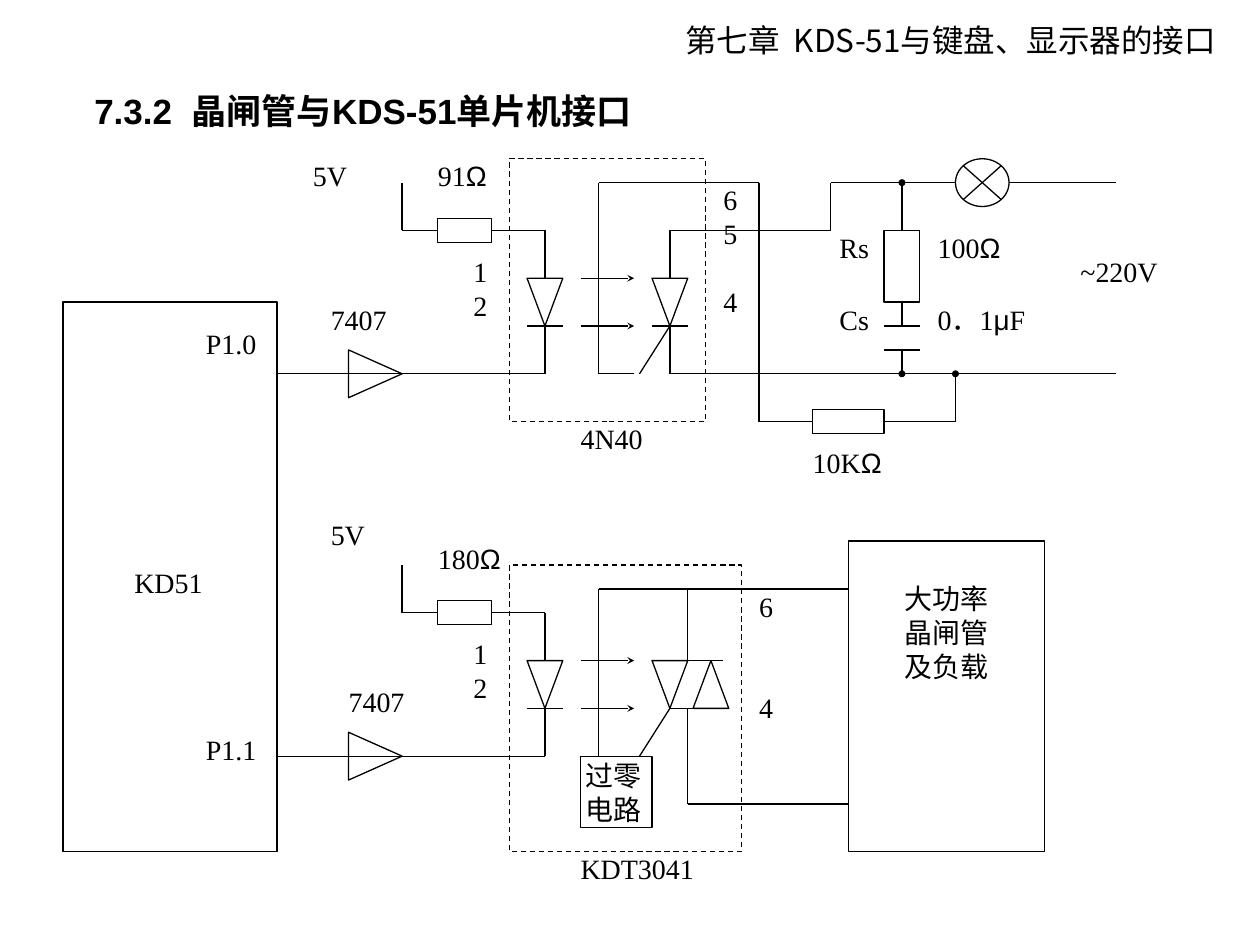
"""Builds the slide on connecting thyristors to a microcontroller."""
from itertools import groupby

from lxml import etree
from pptx import Presentation
from pptx import util as u
from pptx.dml.color import RGBColor
from pptx.enum import dml, shapes, text
from pptx.oxml.ns import qn

BLACK, WHITE = "000000", "FFFFFF"
LEFT, TOP, COLUMN, ROW = 0.5, 1.26, 1.7 / 12, 5.5 / 29
SIZE, LINE_HEIGHT = 16, 19.3
UPPER, LOWER = 0, 16
KIND = shapes.MSO_SHAPE

HEADINGS = [
    ("第七章  KDS-51与键盘、显示器的接口", (5.34, 0.12, 4.61, 0.4), 0.05, 18, "Noto Sans CJK JP", False),
    ("7.3.2  晶闸管与KDS-51单片机接口", (0.65, 0.52, 4.7, 0.72), 0.19, 20, "Arial", True),
]

# Grid positions are (column, row); both channels share the drive stage.
DRIVE_WIRES = [
    [(19, 1), (19, 3), (21, 3)],
    [(24, 3), (27, 3), (27, 9)],
    [(26, 7), (28, 7)],
    [(34, 7), (32.3, 9)],
    [(12, 9), (27, 9)],
]
LIGHT_ARROWS = [[(29, 5), (32, 5)], [(29, 7), (32, 7)]]
DRIVE_SHAPES = [
    (KIND.RECTANGLE, 21, 2.5, 3, 1, 0),
    (KIND.ISOSCELES_TRIANGLE, 26, 5, 2, 2, 180),
    (KIND.ISOSCELES_TRIANGLE, 33, 5, 2, 2, 180),
]
BUFFER = (KIND.ISOSCELES_TRIANGLE, 16, 8, 3, 2, 90)

WIRES = [
    [(34, 3), (34, 9)],
    [(33, 7), (35, 7)],
    [(32, 9), (30, 9), (30, 1), (39, 1), (39, 11), (42, 11)],
    [(34, 3), (43, 3), (43, 1), (59, 1)],
    [(34, 9), (59, 9)],
    [(46, 11), (50, 11)],
    [(47, 6), (47, 7)],
    [(46, 7), (48, 7)],
    [(46, 8), (48, 8)],
    [(30, 25), (30, 18), (44, 18)],
    [(35, 18), (35, 21), (37, 21)],
    [(34, 23), (36, 23)],
    [(35.3, 23), (37.3, 23)],
    [(35, 23), (35, 27), (44, 27)],
]
JUNCTIONS = [[(47, 3), (47, 1)], [(47, 8), (47, 9)], [(50, 11), (50, 9)]]
SHAPES = [
    (KIND.RECTANGLE, 0, 6, 12, 23, 0),
    (KIND.RECTANGLE, 42, 10.5, 4, 1, 0),
    (KIND.RECTANGLE, 46, 3, 2, 3, 0),
    (KIND.FLOWCHART_SUMMING_JUNCTION, 50, 0, 3, 2, 0),
    (KIND.RECTANGLE, 29, 25, 4, 3, 0),
    (KIND.ISOSCELES_TRIANGLE, 35.3, 21, 2, 2, 0),
]
LOAD = (KIND.RECTANGLE, 44, 16, 11, 13, 0)
LOAD_TEXT = ["大功率", "晶闸管", "及负载"]
OPTOCOUPLERS = [(KIND.RECTANGLE, 25, 0, 11, 11, 0), (KIND.RECTANGLE, 25, 17, 13, 12, 0)]

LABELS = [
    (4, 17, 5, 2, ["KD51"]), (8, 7, 5, 2, ["P1.0"]), (8, 24, 5, 2, ["P1.1"]),
    (14, 0, 5, 2, ["5V"]), (15, 15, 5, 2, ["5V"]),
    (15, 6, 5, 2, ["7407"]), (16, 22, 5, 2, ["7407"]),
    (21, 0, 5, 2, ["91Ω"]), (21, 16, 5, 2, ["180Ω"]),
    (23, 4, 3, 4, ["1", "2"]), (23, 20, 3, 4, ["1", "2"]),
    (37, 1, 3, 9, ["6", "5", "", "4"]), (39, 18, 3, 9, ["6", "", "", "4"]),
    (42, 12, 5, 2, ["10KΩ"]), (49, 3, 5, 2, ["100Ω"]), (49, 6, 6, 2, ["0．1μF"]),
    (57, 4, 5, 2, ["~220V"]), (29, 11, 5, 2, ["4N40"]), (29, 29, 10, 2, ["KDT3041"]),
    (43.5, 3, 3.5, 2, ["Rs"]), (43.5, 6, 3.5, 2, ["Cs"]),
    (29.3, 25.1, 4, 3, ["过零", "电路"]),
]


def color(value):
    """Turn a hex string into a colour."""
    return RGBColor.from_string(value)


def point(column, row):
    """Turn a grid position into lengths on the slide."""
    return u.Inches(LEFT + column * COLUMN), u.Inches(TOP + row * ROW)


def set_line(line):
    """Give an outline or a wire its thin black stroke."""
    line.color.rgb = color(BLACK)
    line.width = u.Pt(0.75)


def add_wire(slide, points, offset=0, end=None):
    """Join grid points by straight connectors, with an optional end mark."""
    for (c1, r1), (c2, r2) in zip(points, points[1:]):
        wire = slide.shapes.add_connector(
            shapes.MSO_CONNECTOR.STRAIGHT, *point(c1, r1 + offset), *point(c2, r2 + offset))
        set_line(wire.line)
        if end:
            etree.SubElement(wire.line._get_or_add_ln(), qn("a:tailEnd"), type=end, w="sm", len="sm")
        etree.SubElement(wire._element.spPr, qn("a:effectLst"))


def add_part(slide, kind, column, row, columns, rows, rotation, offset=0, filled=True):
    """Draw an outlined part that covers the given grid cells."""
    left, top = point(column, row + offset)
    width, height = u.Inches(columns * COLUMN), u.Inches(rows * ROW)
    if rotation == 90:
        left, top = left + (width - height) // 2, top + (height - width) // 2
        width, height = height, width
    shape = slide.shapes.add_shape(kind, left, top, width, height)
    shape.rotation = rotation
    shape.shadow.inherit = False
    if filled:
        shape.fill.solid()
        shape.fill.fore_color.rgb = color(WHITE)
    else:
        shape.fill.background()
        shape.line.dash_style = dml.MSO_LINE.DASH
    set_line(shape.line)
    return shape


def set_margins(frame, side, top, bottom):
    """Set the inner margins in inches."""
    frame.margin_left = frame.margin_right = u.Inches(side)
    frame.margin_top, frame.margin_bottom = u.Inches(top), u.Inches(bottom)


def write_lines(frame, lines, alignment):
    """Write one paragraph a line; an empty line becomes space before the next."""
    frame.word_wrap = True
    frame.vertical_anchor = text.MSO_ANCHOR.TOP
    skipped = 0
    for index, line in enumerate(lines):
        if not line:
            skipped += 1
            continue
        paragraph = frame.add_paragraph() if index else frame.paragraphs[0]
        paragraph.alignment = alignment
        paragraph.line_spacing = u.Pt(LINE_HEIGHT)
        if skipped:
            paragraph.space_before = u.Pt(skipped * LINE_HEIGHT)
            skipped = 0
        paragraph.font.size = u.Pt(SIZE)
        for greek, letters in groupby(line, lambda letter: letter in "Ωμ"):
            run = paragraph.add_run()
            run.text = "".join(letters)
            run.font.name = "Arial" if greek else "Times New Roman"
            run.font.color.rgb = color(BLACK)


def add_heading(slide, words, place, margin, size, font, bold):
    """Write a one-line heading."""
    frame = slide.shapes.add_textbox(*map(u.Inches, place)).text_frame
    set_margins(frame, 0.1, margin, margin)
    frame.word_wrap = False
    frame.vertical_anchor = text.MSO_ANCHOR.MIDDLE if bold else text.MSO_ANCHOR.TOP
    paragraph = frame.paragraphs[0]
    paragraph.text = words
    paragraph.font.size, paragraph.font.name, paragraph.font.bold = u.Pt(size), font, bold
    paragraph.font.color.rgb = color(BLACK)


def main():
    """Build and save the slide."""
    presentation = Presentation()
    presentation.slide_width, presentation.slide_height = u.Inches(10), u.Inches(7.5)
    slide = presentation.slides.add_slide(presentation.slide_layouts[6])
    for heading in HEADINGS:
        add_heading(slide, *heading)
    for wire in WIRES:
        add_wire(slide, wire)
    for junction in JUNCTIONS:
        add_wire(slide, junction, end="oval")
    for offset in (UPPER, LOWER):
        add_part(slide, *BUFFER, offset=offset)
        for wire in DRIVE_WIRES:
            add_wire(slide, wire, offset)
        for arrow in LIGHT_ARROWS:
            add_wire(slide, arrow, offset, "stealth")
        for part in DRIVE_SHAPES:
            add_part(slide, *part, offset=offset)
    for part in SHAPES:
        add_part(slide, *part)
    load = add_part(slide, *LOAD).text_frame
    set_margins(load, 0.1, 0.32, 0.05)
    write_lines(load, LOAD_TEXT, text.PP_ALIGN.CENTER)
    for part in OPTOCOUPLERS:
        add_part(slide, *part, filled=False)
    for column, row, columns, rows, lines in LABELS:
        size = u.Inches(columns * COLUMN), u.Inches(rows * ROW)
        frame = slide.shapes.add_textbox(*point(column, row), *size).text_frame
        set_margins(frame, 0, 0, 0)
        write_lines(frame, lines, text.PP_ALIGN.JUSTIFY)
    presentation.save("out.pptx")


if __name__ == "__main__":
    main()
